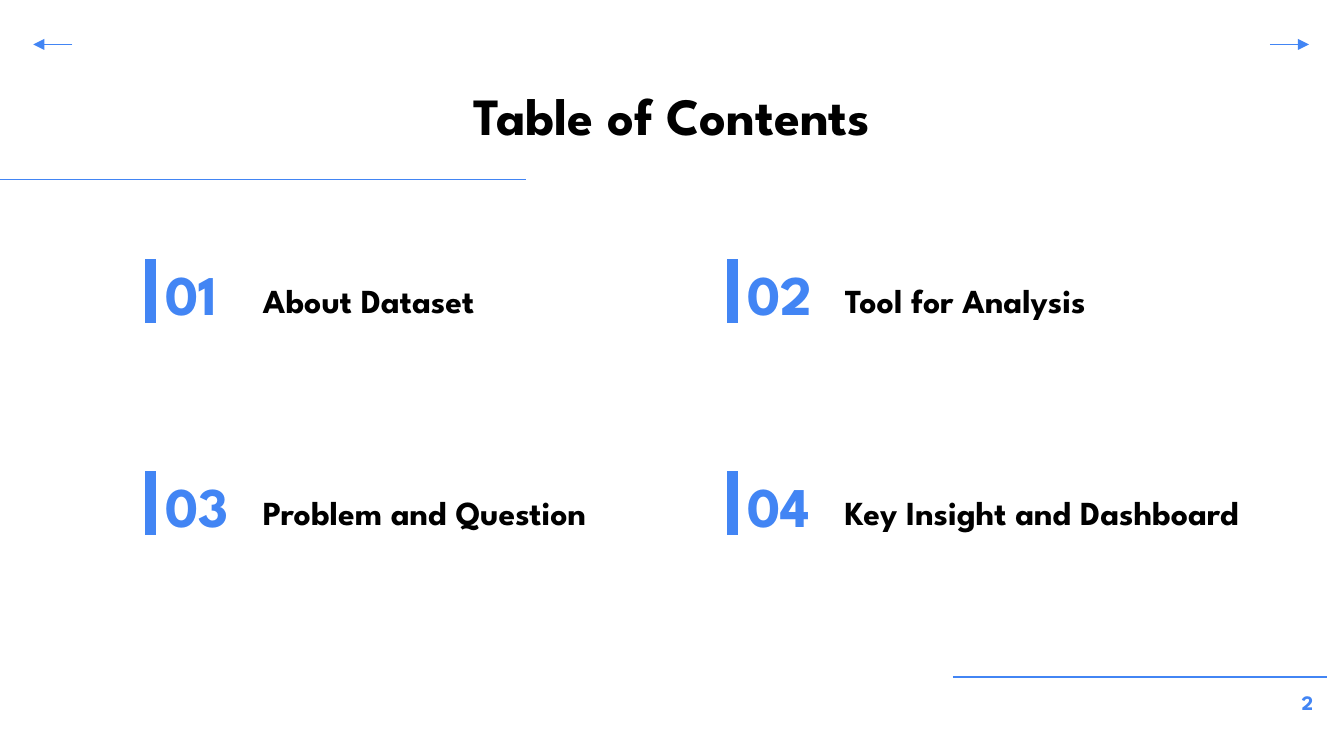
from lxml import etree
from pptx import Presentation
from pptx.dml.color import RGBColor
from pptx.enum.shapes import MSO_CONNECTOR
from pptx.enum.text import MSO_ANCHOR, MSO_AUTO_SIZE, PP_ALIGN
from pptx.oxml.ns import qn
from pptx.util import Cm, Pt

STRAIGHT = MSO_CONNECTOR.STRAIGHT
TOP, BOTTOM = MSO_ANCHOR.TOP, MSO_ANCHOR.BOTTOM
LEFT, CENTER, RIGHT = PP_ALIGN.LEFT, PP_ALIGN.CENTER, PP_ALIGN.RIGHT
NO_AUTOFIT = MSO_AUTO_SIZE.NONE
TITLE_ONLY = 5

FONT = "League Spartan"
BLUE, BLACK, WHITE = "4285F4", "000000", "FFFFFF"
INSET = 0.25

# Lengths in centimetres
COLUMN_PITCH, ROW_PITCH = 11.0, 4.01
FIRST_LEFT, FIRST_TOP = 2.84, 4.65
ENTRIES = [
    ("About Dataset", 8.23),
    ("Tool for Analysis", 8.23),
    ("Problem and Question", 8.23),
    ("Key Insight and Dashboard", 9.02),
]


def color(hex_string):
    return RGBColor.from_string(hex_string)


def format_text(shape, text, size, hex_color, align=LEFT, anchor=TOP, left_inset=INSET):
    frame = shape.text_frame
    frame_format = {
        "text": text,
        "word_wrap": True,
        "auto_size": NO_AUTOFIT,
        "vertical_anchor": anchor,
        "margin_left": Cm(left_inset),
        "margin_top": Cm(INSET),
        "margin_right": Cm(INSET),
        "margin_bottom": Cm(INSET),
    }
    for name, value in frame_format.items():
        setattr(frame, name, value)
    paragraph = frame.paragraphs[0]
    paragraph.alignment = align
    font = paragraph.runs[0].font
    for name, value in {"name": FONT, "size": Pt(size), "bold": True}.items():
        setattr(font, name, value)
    font.color.rgb = color(hex_color)


def add_text(slide, box, text, size, hex_color, **options):
    shape = slide.shapes.add_textbox(*map(Cm, box))
    format_text(shape, text, size, hex_color, **options)


def add_line(slide, start, end, width=0.75, arrow=False):
    line = slide.shapes.add_connector(STRAIGHT, *map(Cm, (*start, *end)))
    line.line.color.rgb = color(BLUE)
    line.line.width = Pt(width)
    if arrow:
        etree.SubElement(line.line._get_or_add_ln(), qn("a:tailEnd"), type="triangle")
    etree.SubElement(line._element.spPr, qn("a:effectLst"))


def add_title(slide, box, text):
    title = slide.shapes.title
    for name, value in zip(("left", "top", "width", "height"), box):
        setattr(title, name, Cm(value))
    format_text(title, text, 28, BLACK, align=CENTER)


def add_entry(slide, box, number, heading):
    left, top, width, height = box
    # Vertical bar
    add_line(slide, (left, top + 0.25), (left, top + 1.45), width=6)
    # Number
    add_text(slide, (left + 0.28, top, 1.6, height), f"{number:02}", 30, BLUE, left_inset=0)
    # Heading, standing on the bottom of the box
    add_text(slide, (left + 1.88, top + 0.18, width, height - 0.18), heading, 18, BLACK,
             anchor=BOTTOM)


def add_contents(slide, left, top):
    for index, (heading, width) in enumerate(ENTRIES):
        row, column = divmod(index, 2)
        box = (left + column * COLUMN_PITCH, top + row * ROW_PITCH, width, 1.65)
        add_entry(slide, box, index + 1, heading)


def add_frame(slide):
    # Rules under the title and above the page number
    add_line(slide, (-0.05, 3.39), (9.95, 3.39))
    add_line(slide, (18.01, 12.8), (25.07, 12.8))
    # Page number
    add_text(slide, (23.44, 12.8, 1.63, 1.09), "2", 11, BLUE, align=RIGHT)
    # Arrows in the top corners
    add_line(slide, (24.0, 0.84), (24.74, 0.84), arrow=True)
    add_line(slide, (1.37, 0.84), (0.63, 0.84), arrow=True)


def main():
    presentation = Presentation()
    presentation.slide_width, presentation.slide_height = Cm(25.4), Cm(14.29)
    slide = presentation.slides.add_slide(presentation.slide_layouts[TITLE_ONLY])
    slide.background.fill.solid()
    slide.background.fill.fore_color.rgb = color(WHITE)

    add_frame(slide)
    add_title(slide, (4.09, 1.32, 17.22, 1.6), "Table of Contents")
    add_contents(slide, FIRST_LEFT, FIRST_TOP)

    presentation.save("out.pptx")


if __name__ == "__main__":
    main()
